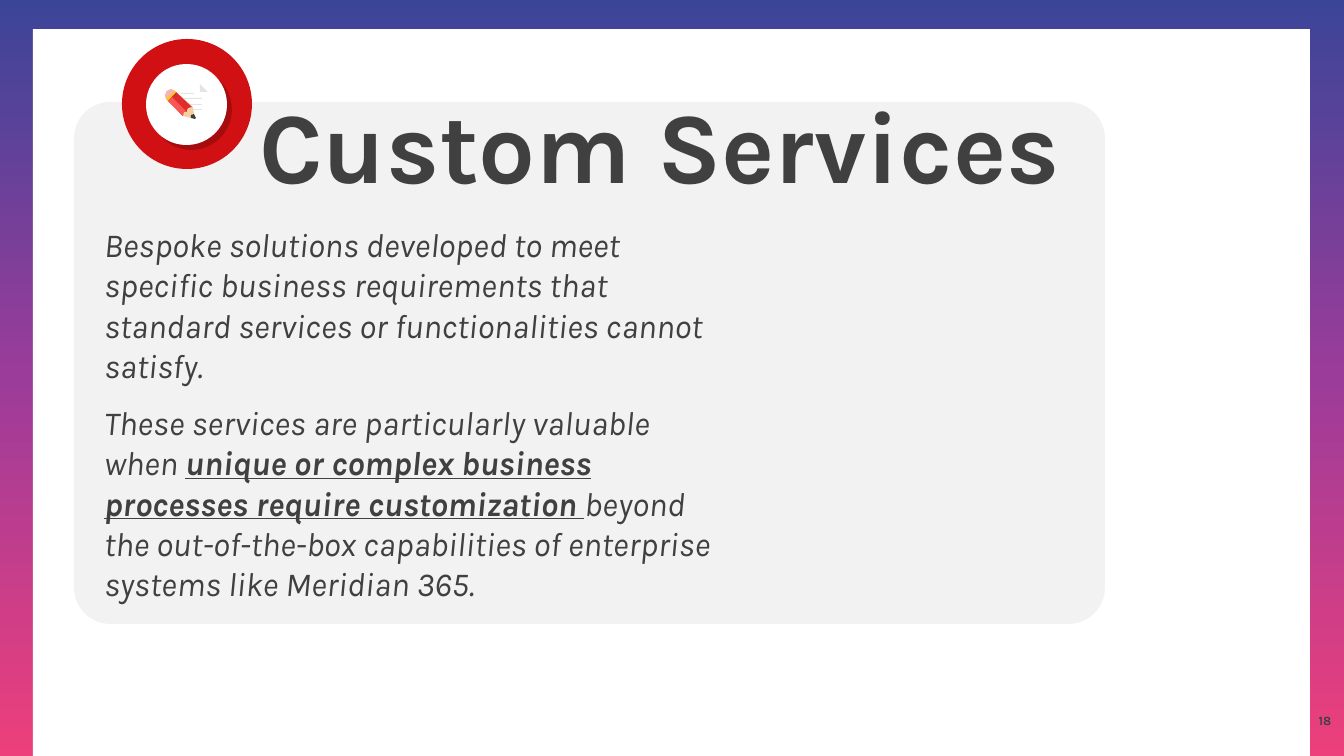
"""Build the Custom Services slide."""
from lxml import etree
from pptx import Presentation
from pptx import util as u
from pptx.dml.color import RGBColor
from pptx.enum import shapes, text
from pptx.oxml import ns

PX = 914400 / 100.8
FONT = "Karla"
C = {
    "pink": "ED3F7B", "purple": "9C3C9A", "blue": "3B4598",
    "white": "FFFFFF", "panel": "F2F2F2", "red": "D01012", "ink": "404040",
    "rule": "E2E4E5", "wood": "F4D0A1", "eraser": "F7B4B4",
    "lead": "3E3E3F", "body": "DF2C2C", "ferrule": "FACB1B", "shine": "FA5655",
}
ERASER = [(175, 91), (171, 89), (167, 91), (165, 95), (166, 99)]
PAPER = [
    ("white", [(176, 84), (200, 84), (208, 92), (208, 124), (176, 124)]),
    ("rule", [(200, 84), (200, 92), (208, 92)]),
]
PENCIL = [
    ("wood", [(193, 107), *ERASER, (183, 116), (191, 118), (191, 115), (194, 114)]),
    ("eraser", ERASER),
    ("lead", [(194, 114), (196, 118), (195, 119), (191, 118), (191, 115)]),
    ("body", [(192, 107), (176, 92), (168, 101), (183, 116), (183, 113),
              (185, 111), (187, 112), (187, 110), (188, 108)]),
    ("ferrule", [(168, 101), (166, 99), (175, 91), (176, 92)]),
    ("shine", [(168, 101), (183, 116), (184, 112), (187, 112), (172, 97)]),
]
INTRO = ("Bespoke solutions developed to meet specific business requirements that "
         "standard services or functionalities cannot satisfy.")
VALUE = [
    ("These services are particularly valuable when ", False),
    ("unique or complex business processes require customization ", True),
    ("beyond the out-of-the-box capabilities of enterprise systems like "
     "Meridian 365.", False),
]


def px(*values):
    """Turn pixels into EMU."""
    return [u.Emu(round(v * PX)) for v in values]


def paint(sp, color):
    """Give a shape a plain fill with no line or shadow."""
    sp.shadow.inherit = False
    sp.line.fill.background()
    sp.fill.solid()
    sp.fill.fore_color.rgb = RGBColor.from_string(C[color])
    return sp


def add_box(s, kind, color, *box):
    """Add a filled preset shape."""
    return paint(s.shapes.add_shape(kind, *px(*box)), color)


def add_outline(s, color, points):
    """Add a filled polygon."""
    fb = s.shapes.build_freeform(*points[0], scale=PX)
    fb.add_line_segments(points[1:], close=True)
    return paint(fb.convert_to_shape(), color)


def add_color(parent, tag, color, **attrs):
    """Append an element that holds one colour and return the colour."""
    el = etree.SubElement(parent, ns.qn(tag), **attrs)
    return etree.SubElement(el, ns.qn("a:srgbClr"), val=C[color])


def add_gradient(sp, colors):
    """Fill a shape from top to bottom with evenly spaced colours."""
    sp.fill.gradient()
    sp.fill.gradient_angle = 270
    stops = sp.element.spPr.find(".//" + ns.qn("a:gsLst"))
    for gs in list(stops):
        stops.remove(gs)
    for i, color in enumerate(colors):
        add_color(stops, "a:gs", color, pos=str(i * 100000 // (len(colors) - 1)))


def add_shadow(sp):
    """Add a sharp, soft-toned shadow to the lower right."""
    effects = sp.element.spPr.find(ns.qn("a:effectLst"))
    shade = etree.SubElement(effects, ns.qn("a:outerShdw"), blurRad="0",
                             dist=str(u.Pt(5)), dir="2700000", algn="tl",
                             rotWithShape="0")
    clr = etree.SubElement(shade, ns.qn("a:srgbClr"), val="000000")
    etree.SubElement(clr, ns.qn("a:alpha"), val="20000")


def add_run(p, words, size=24, bold=False, italic=False, underline=False):
    """Add a formatted run to a paragraph."""
    r = p.add_run()
    r.text = words
    f = r.font
    f.name, f.size, f.bold, f.italic, f.underline = FONT, u.Pt(size), bold, italic, underline
    f.color.rgb = RGBColor.from_string(C["ink"])


def set_frame(sp, box, anchor, pad=0):
    """Place a text shape and return its frame, wrapped and with no side insets."""
    sp.left, sp.top, sp.width, sp.height = px(*box)
    tf = sp.text_frame
    tf.word_wrap = True
    tf.auto_size = text.MSO_AUTO_SIZE.NONE
    tf.vertical_anchor = anchor
    tf.margin_left = tf.margin_right = 0
    tf.margin_top, tf.margin_bottom = px(pad, pad)
    return tf


def add_icon(s):
    """Draw the sheet of paper and the pencil."""
    for color, points in PAPER:
        add_outline(s, color, points)
    for y, width in ((93, 13), (98, 21), (104, 21), (109, 21)):
        add_box(s, shapes.MSO_SHAPE.RECTANGLE, "rule", 181, y, width, 1)
    for color, points in PENCIL:
        add_outline(s, color, points)


def main():
    """Build and save the slide."""
    prs = Presentation()
    prs.slide_width, prs.slide_height = px(1344, 756)
    s = prs.slides.add_slide(prs.slide_layouts[5])
    kind = shapes.MSO_SHAPE
    middle, center = text.MSO_ANCHOR.MIDDLE, text.PP_ALIGN.CENTER

    frame = add_box(s, kind.RECTANGLE, "blue", 0, 0, 1344, 756)
    add_gradient(frame, ["blue", "purple", "pink"])
    add_box(s, kind.RECTANGLE, "white", 33, 29, 1277, 727)
    panel = add_box(s, kind.ROUNDED_RECTANGLE, "panel", 74, 102, 1031, 522)
    panel.adjustments[0] = 0.07
    add_box(s, kind.OVAL, "red", 122, 39, 130, 130)
    add_shadow(add_box(s, kind.OVAL, "white", 146, 64, 81, 81))

    title = s.shapes.title
    title.element.getparent().append(title.element)
    p = set_frame(title, (80, 78, 1159, 146), middle, pad=5).paragraphs[0]
    p.alignment, p.line_spacing = center, 0.9
    add_run(p, "Custom Services", size=72, bold=True)

    number = s.shapes.add_textbox(0, 0, 0, 0)
    p = set_frame(number, (1307, 701, 36, 40), middle).paragraphs[0]
    p.alignment = center
    add_run(p, "18", size=9, bold=True)

    add_icon(s)

    body = s.shapes.add_textbox(0, 0, 0, 0)
    tf = set_frame(body, (104, 224, 617, 383), text.MSO_ANCHOR.TOP)
    for p, runs in ((tf.paragraphs[0], [(INTRO, False)]), (tf.add_paragraph(), VALUE)):
        p.space_after = u.Pt(12)
        for words, strong in runs:
            add_run(p, words, italic=True, bold=strong, underline=strong)
    prs.save("out.pptx")


if __name__ == "__main__":
    main()
